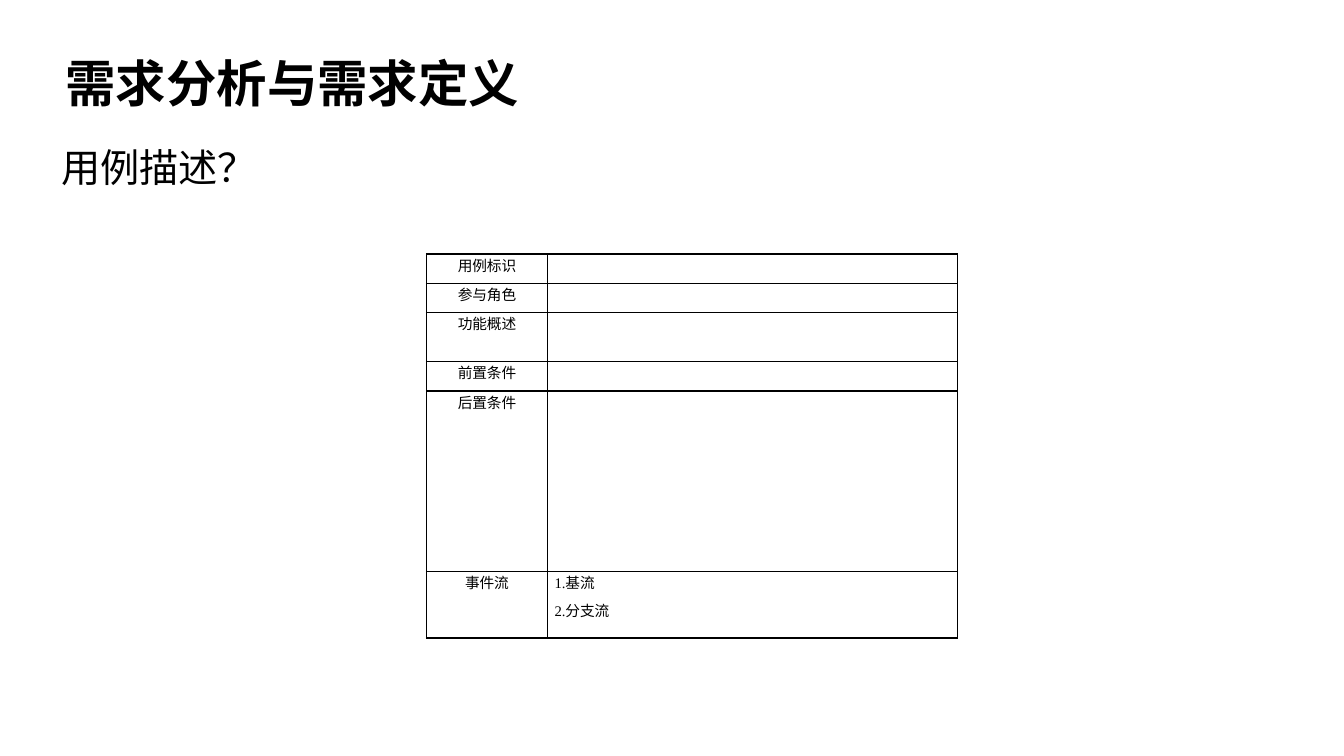
import pptx
import pptx.dml.color
import pptx.enum.lang
import pptx.enum.text
import pptx.oxml.ns
import pptx.util
from lxml import etree

PX = 9144
HUES = {"ink": "000000", "page": "FFFFFF"}
ALIGN = pptx.enum.text.PP_ALIGN
ANCHOR = pptx.enum.text.MSO_ANCHOR
qn = pptx.oxml.ns.qn


class Deck:
    def __init__(self, wide, high):
        self.file = pptx.Presentation()
        self.file.slide_width = wide * PX
        self.file.slide_height = high * PX
        self.slide = self.file.slides.add_slide(self.file.slide_layouts[6])
        self.paint(self.slide.background.fill, "page")

    def paint(self, fill, hue):
        fill.solid()
        fill.fore_color.rgb = pptx.dml.color.RGBColor.from_string(HUES[hue])

    def run(self, para, text, size, face, bold=False):
        run = para.add_run()
        run.text = text
        font = run.font
        font.size = pptx.util.Pt(size)
        font.name = face
        font.bold = bold
        font.language_id = pptx.enum.lang.MSO_LANGUAGE_ID.SIMPLIFIED_CHINESE
        self.paint(font.fill, "ink")

    def text(self, box, text, size, align, space, anchor, bold=False):
        frame = self.slide.shapes.add_textbox(*[n * PX for n in box]).text_frame
        frame.word_wrap = True
        frame.vertical_anchor = anchor
        para = frame.paragraphs[0]
        para.alignment = align
        para.line_spacing = space
        self.run(para, text, size, "Arial", bold)

    def border(self, cell):
        props = cell._tc.get_or_add_tcPr()
        for side in ("lnL", "lnR", "lnT", "lnB"):
            line = etree.SubElement(props, qn("a:" + side), w="12700")
            fill = etree.SubElement(line, qn("a:solidFill"))
            etree.SubElement(fill, qn("a:srgbClr"), val=HUES["ink"])

    def cell(self, cell, lines, align):
        self.border(cell)
        cell.fill.background()
        cell.margin_left = cell.margin_right = 7 * PX
        cell.margin_top = cell.margin_bottom = 0
        frame = cell.text_frame
        for i, text in enumerate(lines):
            para = frame.add_paragraph() if i else frame.paragraphs[0]
            para.alignment = align
            para.space_before = pptx.util.Pt(2.4 if i else 0)
            para.space_after = pptx.util.Pt(2.4)
            self.run(para, text, 10.5, "Times New Roman")
        if not lines:
            etree.SubElement(frame.paragraphs[0]._p, qn("a:endParaRPr"), sz="1050")

    def table(self, left, top, cols, rows):
        high = sum(row[0] for row in rows)
        area = [n * PX for n in (left, top, sum(cols), high)]
        table = self.slide.shapes.add_table(len(rows), len(cols), *area).table
        table.first_row = table.horz_banding = False
        for col, wide in zip(table.columns, cols):
            col.width = wide * PX
        for i, (tall, label, lines) in enumerate(rows):
            table.rows[i].height = tall * PX
            self.cell(table.cell(i, 0), [label], ALIGN.CENTER)
            self.cell(table.cell(i, 1), lines, ALIGN.JUSTIFY)


def main():
    deck = Deck(1333, 750)
    deck.text((51, 114, 1271, 583), "用例描述？", 28, ALIGN.JUSTIFY, 1.5, ANCHOR.TOP)
    deck.text((55, 16, 999, 101), "需求分析与需求定义", 36, ALIGN.LEFT, 0.9,
              ANCHOR.BOTTOM, True)
    deck.table(423, 252, (120, 407), [
        (29, "用例标识", []),
        (29, "参与角色", []),
        (49, "功能概述", []),
        (29, "前置条件", []),
        (179, "后置条件", []),
        (66, "事件流", ["1.基流", "2.分支流"]),
    ])
    deck.file.save("out.pptx")


if __name__ == "__main__":
    main()
